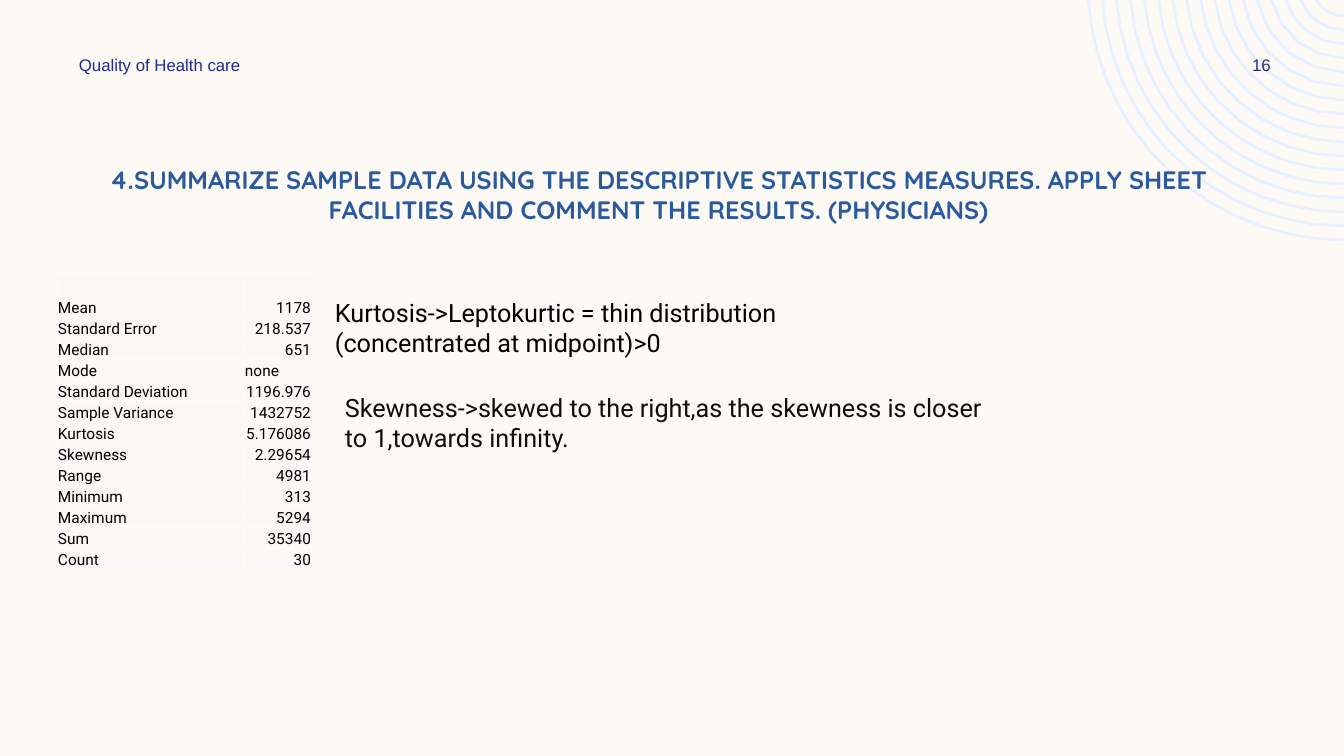
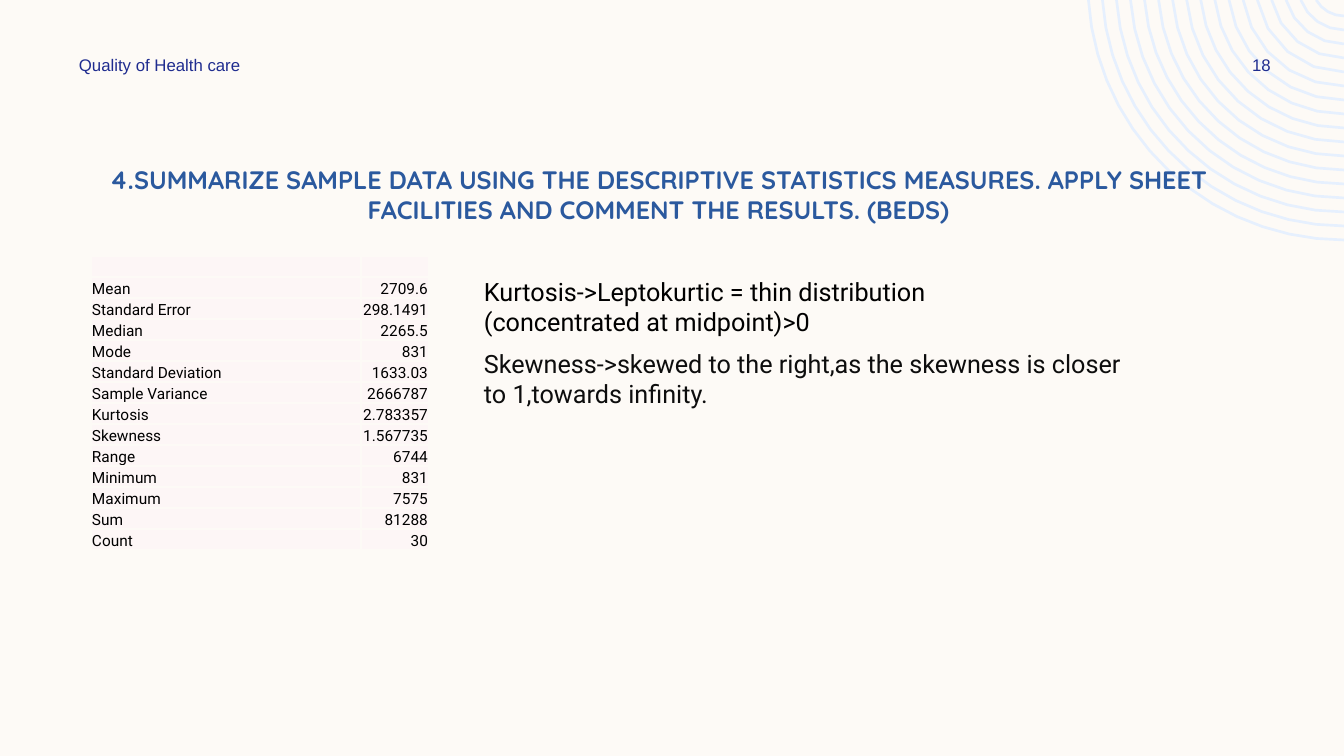
from math import asin, cos, pi, sin

from lxml.etree import SubElement
from pptx import Presentation
from pptx.dml.color import RGBColor as Rgb
from pptx.enum.text import MSO_ANCHOR as Anchor, PP_ALIGN as Align
from pptx.oxml.ns import qn
from pptx.util import Pt

SCALE = 12192000 / 1344
COLORS = {
    "paper": "FDFAF6",
    "cell": "FDF6F6",
    "rings": "E6F0FE",
    "title": "2B599E",
    "header": "1F2C8F",
    "black": "000000",
    "ink": "0D0D0D",
}
STYLES = {
    "title": {"name": "Quicksand", "size": Pt(18), "bold": True},
    "header": {"name": "Arial", "size": Pt(12), "bold": False},
    "note": {"name": "Roboto", "size": Pt(18), "bold": False},
    "cell": {"name": "Roboto", "size": Pt(11), "bold": False},
}
TITLE = ("4.SUMMARIZE SAMPLE DATA USING THE DESCRIPTIVE STATISTICS MEASURES. "
         "APPLY SHEET FACILITIES AND COMMENT THE RESULTS. ({})")
KURTOSIS = ["Kurtosis->Leptokurtic = thin distribution",
            "(concentrated at midpoint)>0"]
SKEWNESS = ["Skewness->skewed to the right,as the skewness is closer "
            "to 1,towards infinity."]
MEASURES = ["Mean", "Standard Error", "Median", "Mode", "Standard Deviation",
            "Sample Variance", "Kurtosis", "Skewness", "Range", "Minimum",
            "Maximum", "Sum", "Count"]
ROW_HEIGHT = 21
SLIDES = [
    {
        "page": "16",
        "subject": "PHYSICIANS",
        "values": ["1178", "218.537", "651", "none", "1196.976", "1432752",
                   "5.176086", "2.29654", "4981", "313", "5294", "35340", "30"],
        "table": (57, 275, 187, 68),
        "kurtosis": (325, 292, 867, 72),
        "skewness": (335, 387, 672, 72),
    },
    {
        "page": "18",
        "subject": "BEDS",
        "values": ["2709.6", "298.1491", "2265.5", "831", "1633.03", "2666787",
                   "2.783357", "1.567735", "6744", "831", "7575", "81288", "30"],
        "table": (91, 256, 270, 68),
        "kurtosis": (474, 271, 672, 72),
        "skewness": (474, 343, 672, 72),
    },
]


def px(length):
    return round(length * SCALE)


def rgb(color):
    return Rgb.from_string(COLORS[color])


def style_paragraph(paragraph, style, color, align):
    paragraph.alignment = align
    for attribute, value in STYLES[style].items():
        setattr(paragraph.font, attribute, value)
    paragraph.font.color.rgb = rgb(color)


def add_text(slide, box, lines, style, color, align=Align.LEFT, anchor=Anchor.TOP):
    frame = slide.shapes.add_textbox(*map(px, box)).text_frame
    frame.word_wrap = True
    frame.vertical_anchor = anchor
    frame.text = "\n".join(lines)
    for paragraph in frame.paragraphs:
        style_paragraph(paragraph, style, color, align)


def arc(center_x, center_y, radius):
    steps = max(4, radius // 18)
    start = pi - asin(-center_y / radius)
    angles = [start + (pi / 2 - start) * step / steps for step in range(steps + 1)]
    return [(px(center_x + radius * cos(angle)), px(center_y + radius * sin(angle)))
            for angle in angles]


def add_rings(slide, center_x, center_y, outer, count=17, gap=14):
    first, *others = [arc(center_x, center_y, outer - gap * ring)
                      for ring in range(count)]
    builder = slide.shapes.build_freeform(*first[0], scale=1.0)
    builder.add_line_segments(first[1:], close=False)
    for points in others:
        builder.move_to(*points[0])
        builder.add_line_segments(points[1:], close=False)
    rings = builder.convert_to_shape()
    rings.shadow.inherit = False
    rings.fill.background()
    rings.line.width = Pt(1.9)
    rings.line.color.rgb = rgb("rings")


def add_borders(cell):
    properties = cell._tc.get_or_add_tcPr()
    for side in ("lnL", "lnR", "lnT", "lnB"):
        line = SubElement(properties, qn(f"a:{side}"), w=str(Pt(1)))
        fill = SubElement(line, qn("a:solidFill"))
        SubElement(fill, qn("a:srgbClr"), val=COLORS["paper"])


def fill_cell(cell, text, align):
    add_borders(cell)
    cell.fill.solid()
    cell.fill.fore_color.rgb = rgb("cell")
    margins = {"margin_left": px(1), "margin_right": px(1),
               "margin_top": px(1), "margin_bottom": 0}
    for attribute, value in margins.items():
        setattr(cell, attribute, value)
    cell.vertical_anchor = Anchor.BOTTOM
    cell.text = text
    style_paragraph(cell.text_frame.paragraphs[0], "cell", "black", align)


def add_statistics(slide, left, top, label_width, value_width, values):
    rows = [("", ""), *zip(MEASURES, values)]
    table = slide.shapes.add_table(
        len(rows), 2, px(left), px(top), px(label_width + value_width),
        px(ROW_HEIGHT * len(rows))).table
    table.first_row = table.horz_banding = False
    for column, width in zip(table.columns, (label_width, value_width)):
        column.width = px(width)
    for index, (measure, value) in enumerate(rows):
        table.rows[index].height = px(ROW_HEIGHT)
        fill_cell(table.cell(index, 0), measure, Align.LEFT)
        fill_cell(table.cell(index, 1), value,
                  Align.LEFT if value == "none" else Align.RIGHT)


def add_frame(slide, page, subject):
    add_rings(slide, 1344, -16, 256)
    add_text(slide, (57, 159, 1203, 73), [TITLE.format(subject)],
             "title", "title", Align.CENTER)
    add_text(slide, (69, 50, 353, 30), ["Quality of Health care"],
             "header", "header", anchor=Anchor.MIDDLE)
    add_text(slide, (1207, 50, 109, 30), [page],
             "header", "header", Align.CENTER, Anchor.MIDDLE)


def build_slide(presentation, content):
    slide = presentation.slides.add_slide(presentation.slide_layouts[6])
    add_frame(slide, content["page"], content["subject"])
    add_statistics(slide, *content["table"], content["values"])
    add_text(slide, content["kurtosis"], KURTOSIS, "note", "black")
    add_text(slide, content["skewness"], SKEWNESS, "note", "ink")


def main():
    presentation = Presentation()
    presentation.slide_width = px(1344)
    presentation.slide_height = px(756)
    background = presentation.slide_master.background.fill
    background.solid()
    background.fore_color.rgb = rgb("paper")
    for content in SLIDES:
        build_slide(presentation, content)
    presentation.save("out.pptx")


if __name__ == "__main__":
    main()
